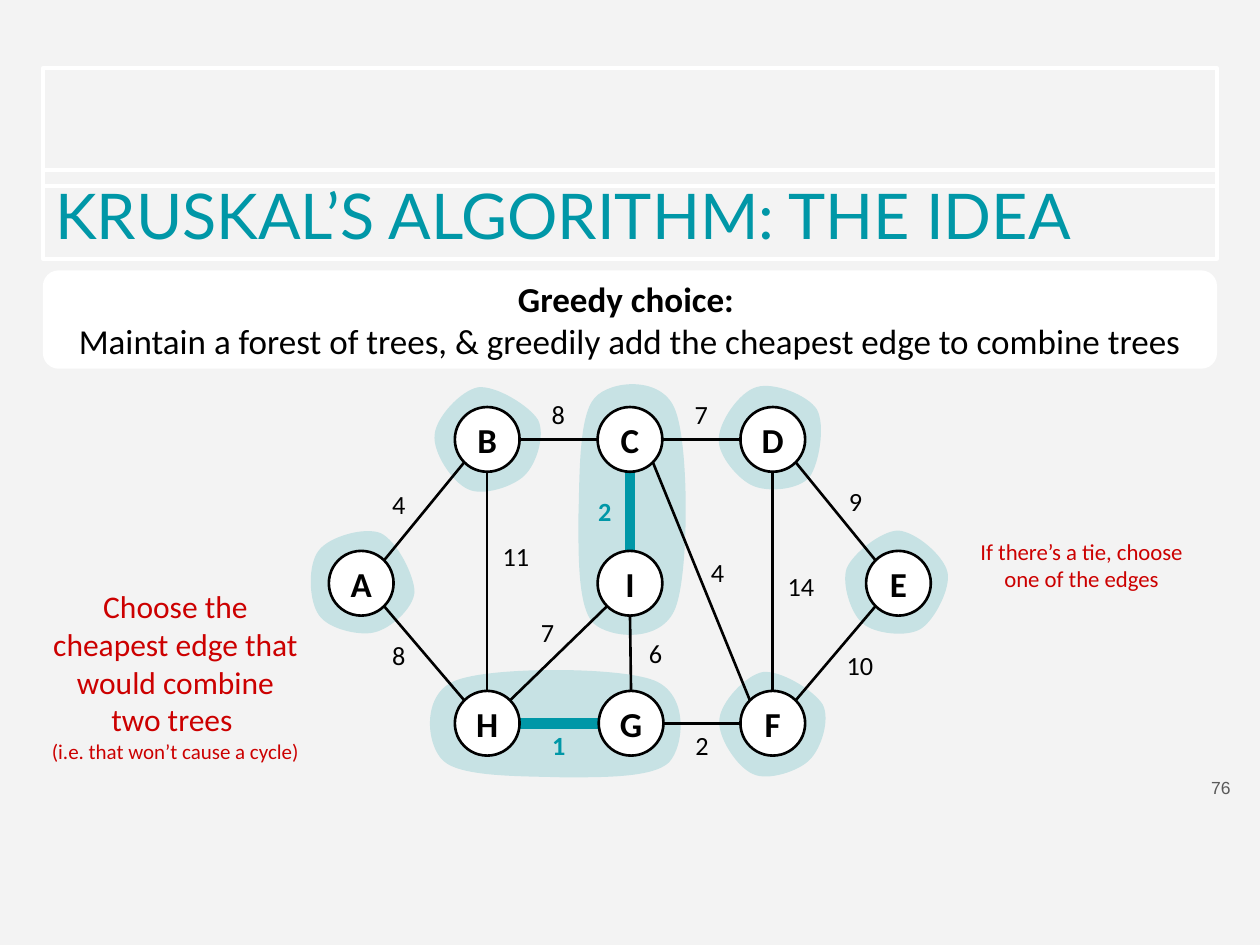
from lxml import etree
from pptx import Presentation
from pptx.dml.color import RGBColor
from pptx.enum.shapes import MSO_CONNECTOR as Connector, MSO_SHAPE as Preset
from pptx.enum.text import MSO_ANCHOR as Anchor, PP_ALIGN as Align
from pptx.oxml.ns import qn
from pptx.util import Pt

COLORS = {"background": "F3F3F3", "white": "FFFFFF", "black": "000000", "teal": "0097A7",
          "tree": "C7E2E4", "red": "CC0000", "gray": "595959"}
RADIUS = 18.5
COLUMNS = {"A": 33.6, "BH": 105.6, "CI": 187.2, "G": 187.8, "DF": 268.8, "E": 340.6}
ROWS = {"BCD": 35.1, "AIE": 117.3, "HGF": 197.3}
NODES = {name: (x, y) for names, x in COLUMNS.items() for name in names
         for row, y in ROWS.items() if name in row}
EDGES = [("A", "B", "4", 55.1, 72), ("A", "H", "8", 55.1, 158.4),
         ("H", "G", "1", 146.5, 209.9), ("G", "F", "2", 228.3, 209.9),
         ("G", "I", "6", 201.7, 157.3), ("H", "I", "7", 140, 145.1),
         ("H", "B", "11", 122, 101.9), ("F", "E", "10", 318.6, 164.1),
         ("F", "D", "14", 284.8, 118.8), ("E", "D", "9", 316.1, 70.2),
         ("F", "C", "4", 237.2, 110.9), ("C", "D", "7", 227.9, 20.5),
         ("B", "C", "8", 146.2, 20.5), ("I", "C", "2", 172.8, 76)]
CHOSEN = {("H", "G"), ("I", "C")}
SINGLE = [(10, -28.4), (0.7, -32), (-19.4, -26.3), (-25.2, -18.4), (-31.7, -10.4), (-31, 10.4),
          (-25.2, 18.4), (-20.2, 26.3), (-2.2, 30.6), (6.5, 28.4), (15.8, 26.3), (28.8, 14.8),
          (29.5, 5.4), (29.5, -4), (19.4, -24.1), (10, -28.4)]
ROUNDED = [(1.4, -30.2), (-7.9, -30.2), (-24.5, -17.3), (-28.1, -8.6), (-31, 0), (-25.9, 17.3),
           (-18.7, 23), (-12.2, 28.8), (6.5, 31), (14.4, 25.9), (22.3, 20.9), (31.7, 2.2),
           (29.5, -6.5), (27.4, -15.8), (11.5, -29.5), (1.4, -30.2)]
PAIR = [(56.5, -24.1), (36.4, -32), (-36.4, -32), (-56.5, -24.1), (-76.7, -16.9), (-73.8, 13.3),
        (-63.7, 22), (-53.6, 31.3), (-18.4, 30.6), (3.2, 31.3), (24.1, 31.3), (55.8, 32),
        (65.2, 22.7), (73.8, 13.3), (76.7, -16.2), (56.5, -24.1)]
TREES = [(PAIR, 188.3, 74.5, 90), (ROUNDED, 339.1, 117.4, 0), (SINGLE, 269.3, 197.6, 328.5),
         (SINGLE, 269.3, 34.9, 36.2), (PAIR, 144.4, 196.9, 0), (SINGLE, 106.6, 34.9, 328.5),
         (SINGLE, 34.6, 117, 0)]


def rgb(name):
    """Return the named colour."""
    return RGBColor.from_string(COLORS[name])


def add_box(slide, box, preset=Preset.RECTANGLE, fill=None, line=None, width=1.5):
    """Add a preset shape with an optional fill and outline."""
    shape = slide.shapes.add_shape(preset, *map(Pt, box))
    shape.shadow.inherit = False
    if fill:
        shape.fill.solid()
        shape.fill.fore_color.rgb = rgb(fill)
    else:
        shape.fill.background()
    if line:
        shape.line.color.rgb = rgb(line)
        shape.line.width = Pt(width)
    else:
        shape.line.fill.background()
    return shape


def write(shape, *lines, size=15, color="black", bold=False, font="Calibri",
          align=Align.CENTER, inset=7.2):
    """Write lines, each a string or a (string, changes) pair, into one paragraph."""
    frame = shape.text_frame
    frame.word_wrap = True
    frame.vertical_anchor = Anchor.MIDDLE
    frame.margin_left = frame.margin_right = Pt(inset)
    frame.margin_top = frame.margin_bottom = Pt(7.2)
    paragraph = frame.paragraphs[0]
    paragraph.alignment = align
    for index, line in enumerate(lines):
        text, changes = (line, {}) if isinstance(line, str) else line
        if index:
            paragraph.add_line_break()
        run = paragraph.add_run()
        run.text = text
        run.font.name = font
        run.font.size = Pt(changes.get("size", size))
        run.font.bold = changes.get("bold", bold)
        run.font.color.rgb = rgb(color)


def add_text(slide, box, *lines, **style):
    """Add a text box."""
    write(slide.shapes.add_textbox(*map(Pt, box)), *lines, **style)


def curve_points(points, steps=10):
    """Sample a chain of cubic Bezier curves to find its extent."""
    for start in range(0, len(points) - 1, 3):
        a, b, c, d = points[start:start + 4]
        for step in range(1, steps + 1):
            t = step / steps
            u = 1 - t
            yield tuple(u**3 * p + 3 * u * u * t * q + 3 * u * t * t * r + t**3 * s
                        for p, q, r, s in zip(a, b, c, d))


def add_tree(slide, outline, x, y, rotation):
    """Add the curved blob around one tree, centred at a point."""
    points = [(Pt(x + dx), Pt(y + dy)) for dx, dy in outline]
    builder = slide.shapes.build_freeform(*points[0], scale=1.0)
    builder.add_line_segments(list(curve_points(points)))
    shape = builder.convert_to_shape()
    contour = next(shape._element.iter(qn("a:path")))
    for segment in contour.findall(qn("a:lnTo")):
        contour.remove(segment)
    for start in range(1, len(points), 3):
        curve = etree.Element(qn("a:cubicBezTo"))
        for px, py in points[start:start + 3]:
            etree.SubElement(curve, qn("a:pt"), x=str(px - shape.left), y=str(py - shape.top))
        contour.insert(len(contour) - 1, curve)
    shape.shadow.inherit = False
    shape.fill.solid()
    shape.fill.fore_color.rgb = rgb("tree")
    shape.line.fill.background()
    shape.rotation = rotation


def add_edge(slide, start, end, chosen):
    """Join two circles at the nearest of their eight sites."""
    signs = [(delta > 2) - (delta < -2) for delta in (end[0] - start[0], end[1] - start[1])]
    reach = RADIUS / sum(map(abs, signs)) ** 0.5
    begin = [p + sign * reach for p, sign in zip(start, signs)]
    finish = [p - sign * reach for p, sign in zip(end, signs)]
    connector = slide.shapes.add_connector(Connector.STRAIGHT, *map(Pt, begin + finish))
    connector.line.color.rgb = rgb("teal" if chosen else "black")
    connector.line.width = Pt(6 if chosen else 1.5)
    etree.SubElement(connector._element.spPr, qn("a:effectLst"))


def add_graph(slide, left, top):
    """Draw trees, weights, edges and nodes from a top left corner."""
    for outline, x, y, rotation in TREES:
        add_tree(slide, outline, left + x, top + y, rotation)
    for start, end, weight, x, y in EDGES:
        chosen = (start, end) in CHOSEN
        width = 29.5 if len(weight) == 1 else 32.4
        add_text(slide, (left + x - width / 2, top + y - 14.75, width, 29.5), weight,
                 color="teal" if chosen else "black", bold=chosen, inset=0)
    centers = {name: (left + x, top + y) for name, (x, y) in NODES.items()}
    for start, end, *_ in EDGES:
        add_edge(slide, centers[start], centers[end], (start, end) in CHOSEN)
    for name, (x, y) in centers.items():
        node = add_box(slide, (x - RADIUS, y - RADIUS, 2 * RADIUS, 2 * RADIUS),
                       Preset.OVAL, "white", "black")
        write(node, name, size=20, bold=True, inset=0)


def add_header(slide, left, top, width):
    """Add the framed title and the greedy choice panel."""
    add_box(slide, (left, top, width, 67.7), line="white", width=2.25)
    title = add_box(slide, (left, top + 58, width, 51), line="white", width=2.25)
    write(title, "KRUSKAL’S ALGORITHM: THE IDEA", size=36, color="teal", font="Lato",
          align=Align.LEFT)
    panel = add_box(slide, (left, top + 115.6, width, 56.2), Preset.ROUNDED_RECTANGLE, "white")
    panel.adjustments[0] = 0.16
    write(panel, ("Greedy choice: ", {"bold": True}),
          "Maintain a forest of trees, & greedily add the cheapest edge to combine trees",
          size=20)


def add_notes(slide, left, top, width):
    """Add the red remarks on both sides and the slide number."""
    add_text(slide, (left + 0.4, top + 62.9, 158, 136.1),
             "Choose the cheapest edge that would combine two trees ",
             ("(i.e. that won’t cause a cycle) ", {"size": 12}), size=18, color="red")
    add_text(slide, (left + width - 143.5, top, 143.3, 136.1),
             "If there’s a tie, choose one of the edges", size=13, color="red")
    add_text(slide, (left + width - 22.7, top + 179.7, 43.2, 31), "76", size=10, color="gray",
             font="Arial", align=Align.RIGHT)


def main():
    """Build and save the slide."""
    presentation = Presentation()
    presentation.slide_width, presentation.slide_height = Pt(720), Pt(540)
    slide = presentation.slides.add_slide(presentation.slide_layouts[6])
    slide.background.fill.solid()
    slide.background.fill.fore_color.rgb = rgb("background")
    add_header(slide, 24.5, 38.9, 671)
    add_graph(slide, 172.8, 216)
    add_notes(slide, 20.9, 254.9, 668.9)
    presentation.save("out.pptx")


if __name__ == "__main__":
    main()
